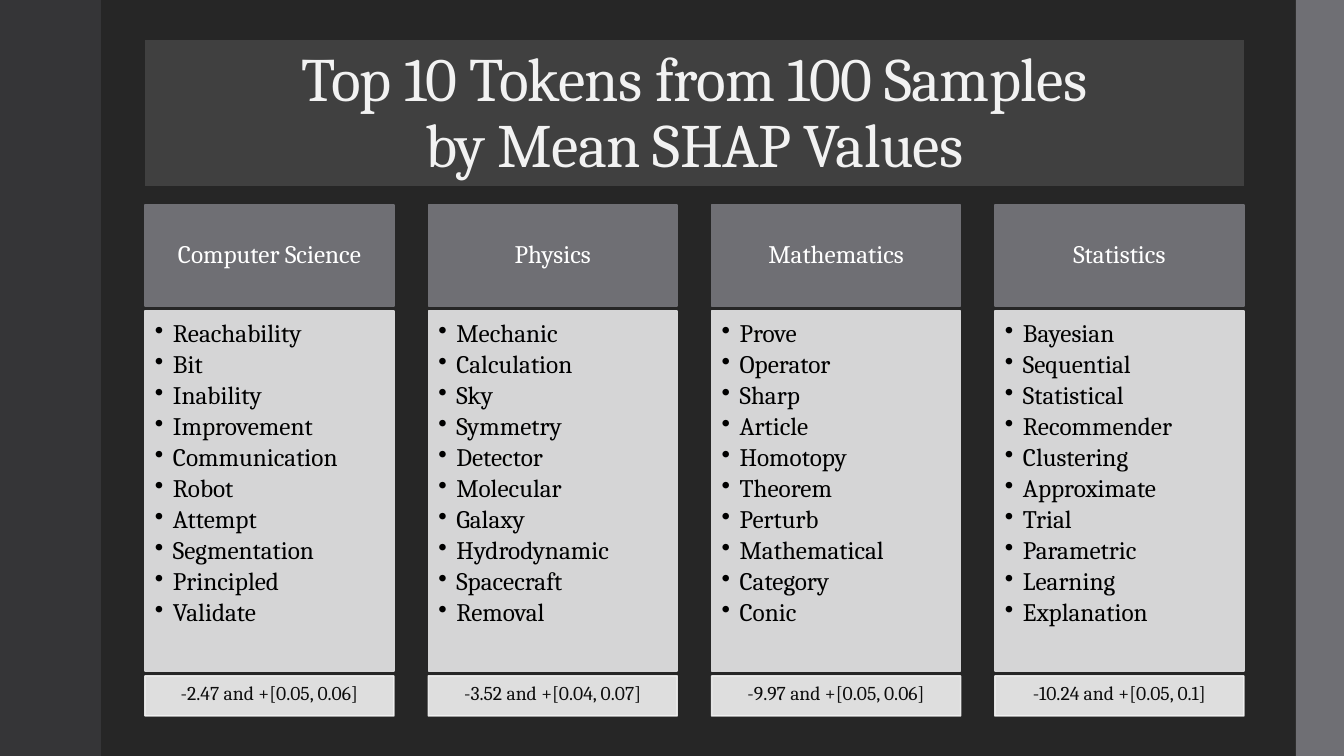
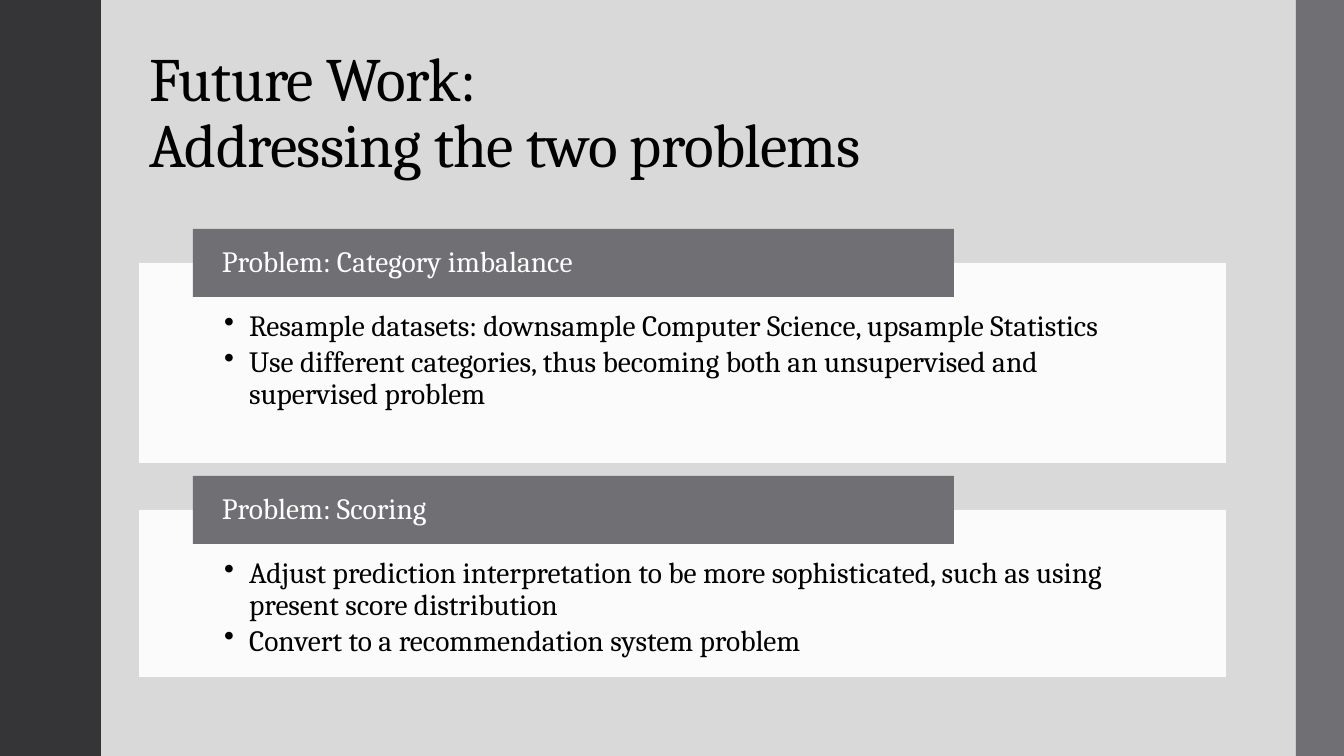
from lxml import etree
from pptx import Presentation
from pptx.dml.color import RGBColor
from pptx.enum import shapes, text
from pptx.oxml import ns
from pptx.util import Emu, Pt

COLORS = {
    "night": "262626", "title_band": "404040", "title_light": "F2F2F2",
    "left_band": "353537", "slate": "6F6F74", "token_panel": "D5D5D6",
    "score_panel": "F2F2F2", "score_text": "0D0D0D", "mist": "D9D9D9",
    "white": "FFFFFF", "black": "000000",
}
FONT = "Cambria"
EMU_PER_INCH, PX_PER_INCH = 914400, 100.8
WIDTH, HEIGHT = 1344, 756

TOKENS_TITLE = "Top 10 Tokens from 100 Samples\nby Mean SHAP Values"
FIELDS = [
    ("Computer Science", "-2.47 and +[0.05, 0.06]",
     ["Reachability", "Bit", "Inability", "Improvement", "Communication",
      "Robot", "Attempt", "Segmentation", "Principled", "Validate"]),
    ("Physics", "-3.52 and +[0.04, 0.07]",
     ["Mechanic", "Calculation", "Sky", "Symmetry", "Detector",
      "Molecular", "Galaxy", "Hydrodynamic", "Spacecraft", "Removal"]),
    ("Mathematics", "-9.97 and +[0.05, 0.06]",
     ["Prove", "Operator", "Sharp", "Article", "Homotopy",
      "Theorem", "Perturb", "Mathematical", "Category", "Conic"]),
    ("Statistics", "-10.24 and +[0.05, 0.1]",
     ["Bayesian", "Sequential", "Statistical", "Recommender", "Clustering",
      "Approximate", "Trial", "Parametric", "Learning", "Explanation"]),
]
FUTURE_TITLE = "Future Work:\nAddressing the two problems"
PROBLEMS = [
    ("Problem: Category imbalance", 229, 200,
     ["Resample datasets: downsample Computer Science, upsample Statistics",
      "Use different categories, thus becoming both an unsupervised and supervised problem"]),
    ("Problem: Scoring", 476, 167,
     ["Adjust prediction interpretation to be more sophisticated, such as using present score distribution",
      "Convert to a recommendation system problem"]),
]

CENTER = text.PP_ALIGN.CENTER
LEFT = text.PP_ALIGN.LEFT
TOP = text.MSO_ANCHOR.TOP
MIDDLE = text.MSO_ANCHOR.MIDDLE
BOTTOM = text.MSO_ANCHOR.BOTTOM


def px(length):
    return Emu(round(length * EMU_PER_INCH / PX_PER_INCH))


def rgb(name):
    return RGBColor.from_string(COLORS[name])


def set_alpha(fill, percent):
    color = fill._xPr.find(".//" + ns.qn("a:srgbClr"))
    etree.SubElement(color, ns.qn("a:alpha"), val=str(percent * 1000))


def add_rect(slide, box, fill, line=None, alpha=100):
    rect = slide.shapes.add_shape(shapes.MSO_SHAPE.RECTANGLE, *map(px, box))
    rect.shadow.inherit = False
    rect.fill.solid()
    rect.fill.fore_color.rgb = rgb(fill)
    if alpha < 100:
        set_alpha(rect.fill, alpha)
    if line:
        rect.line.color.rgb = rgb(line)
        rect.line.width = Pt(1.1)
        if alpha < 100:
            set_alpha(rect.line.fill, alpha)
    else:
        rect.line.fill.background()
    return rect


def write(shape, paragraphs, size, color, align=LEFT, anchor=TOP, insets=(10, 5, 10, 5),
          spacing=0.9, after=0, bullet_indent=0, tracking=0):
    frame = shape.text_frame
    frame.word_wrap = True
    frame.vertical_anchor = anchor
    frame.margin_left, frame.margin_top, frame.margin_right, frame.margin_bottom = map(px, insets)
    for index, words in enumerate(paragraphs):
        paragraph = frame.paragraphs[0] if index == 0 else frame.add_paragraph()
        paragraph.text = words
        paragraph.alignment = align
        paragraph.line_spacing = spacing
        paragraph.space_after = Pt(after)
        if bullet_indent:
            props = paragraph._p.get_or_add_pPr()
            props.set("marL", str(px(bullet_indent)))
            props.set("indent", str(-px(bullet_indent)))
            etree.SubElement(props, ns.qn("a:buChar"), char="•")
        for run in paragraph.runs:
            run.font.name = FONT
            run.font.size = Pt(size)
            run.font.color.rgb = rgb(color)
            if tracking:
                run._r.get_or_add_rPr().set("spc", str(tracking))


def add_base(deck, background):
    slide = deck.slides.add_slide(deck.slide_layouts[6])
    slide.background.fill.solid()
    slide.background.fill.fore_color.rgb = rgb(background)
    add_rect(slide, (0, 0, 101, HEIGHT), "left_band")
    add_rect(slide, (1296, 0, 48, HEIGHT), "slate")
    return slide


def write_title(shape, title, color, align=LEFT):
    write(shape, [title], 44, color, align=align, anchor=BOTTOM, tracking=-50)


def build_tokens(deck):
    slide = add_base(deck, "night")
    left, span, column = 145, 1099, 249
    write_title(add_rect(slide, (left, 40, span, 146), "title_band"),
                TOKENS_TITLE, "title_light", CENTER)
    pitch = (span - column) / (len(FIELDS) - 1)
    for index, (field, score, tokens) in enumerate(FIELDS):
        x = left + index * pitch
        write(add_rect(slide, (x, 205, column, 101), "slate", "slate"),
              [field], 18, "white", align=CENTER, anchor=MIDDLE, insets=(14, 8, 14, 8))
        write(add_rect(slide, (x, 311, column, 360), "token_panel", "token_panel"),
              tokens, 18, "black", insets=(10, 10, 14, 16), after=2.7, bullet_indent=18)
        write(add_rect(slide, (x, 676, column, 40), "score_panel", "score_panel", 90),
              [score], 14, "score_text", align=CENTER, spacing=1.0)


def build_future(deck):
    slide = add_base(deck, "mist")
    left, span = 139, 1087
    title = slide.shapes.add_textbox(*map(px, (left, 40, span, 146)))
    write_title(title, FUTURE_TITLE, "black")
    for problem, top, panel_height, remedies in PROBLEMS:
        write(add_rect(slide, (left, top + 34, span, panel_height), "white", alpha=90),
              remedies, 21, "black", insets=(85, 48, 85, 16), after=3.15, bullet_indent=25)
        write(add_rect(slide, (left + 54, top, 761, 68), "slate"),
              [problem], 21, "white", anchor=MIDDLE, insets=(29, 0, 29, 0))


def main():
    deck = Presentation()
    deck.slide_width, deck.slide_height = px(WIDTH), px(HEIGHT)
    build_tokens(deck)
    build_future(deck)
    deck.save("out.pptx")


if __name__ == "__main__":
    main()
